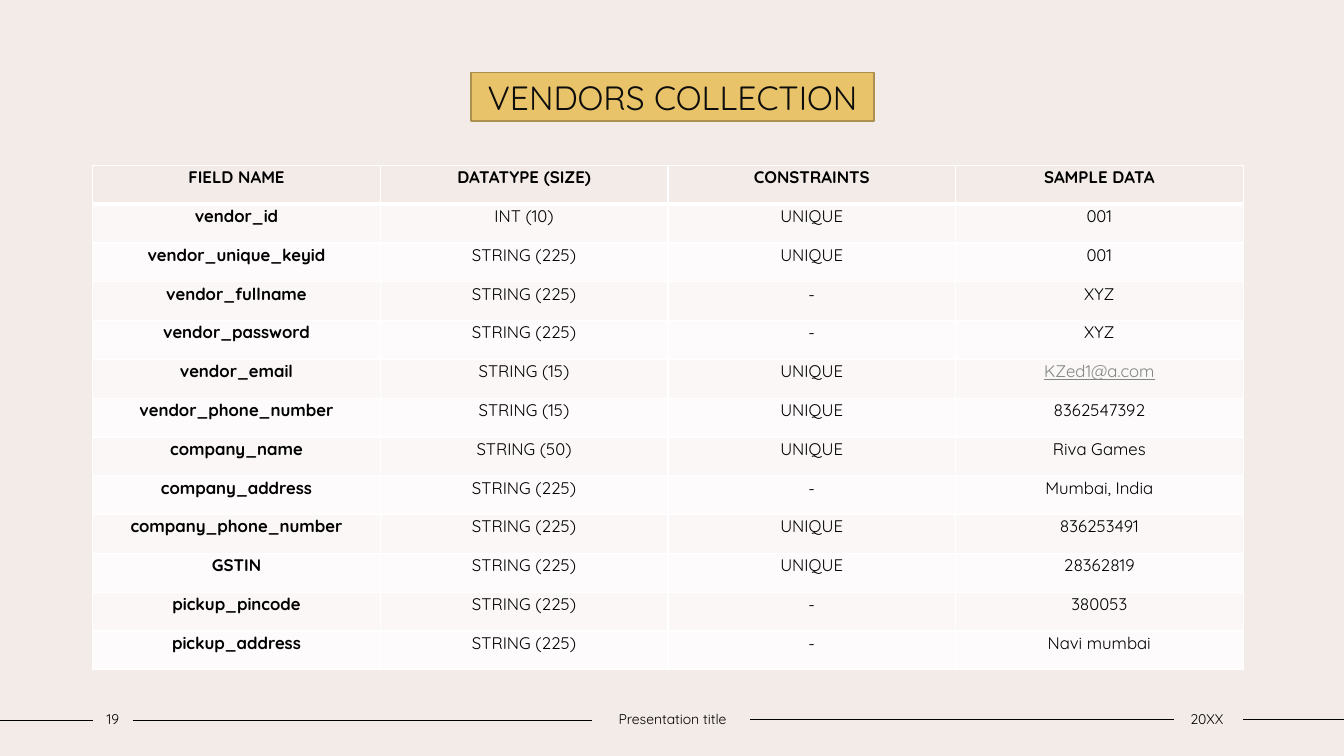
from lxml import etree
from pptx import Presentation
from pptx import util as u
from pptx.dml.color import RGBColor
from pptx.enum import shapes, text
from pptx.oxml.ns import qn

COLORS = {
    "background": "F3EBE8", "ink": "000000", "title": "0D0D0D",
    "gold": "E9C369", "gold_edge": "AC904E", "border": "FFFFFF",
    "odd_row": "FAF7F6", "even_row": "FDFBFB", "email": "828683",
}
HEADINGS = ("FIELD NAME", "DATATYPE (SIZE)", "CONSTRAINTS", "SAMPLE DATA")
FIELDS = [
    ("vendor_id", "INT (10)", "UNIQUE", "001"),
    ("vendor_unique_keyid", "STRING (225)", "UNIQUE", "001"),
    ("vendor_fullname", "STRING (225)", "-", "XYZ"),
    ("vendor_password", "STRING (225)", "-", "XYZ"),
    ("vendor_email", "STRING (15)", "UNIQUE", "KZed1@a.com"),
    ("vendor_phone_number", "STRING (15)", "UNIQUE", "8362547392"),
    ("company_name", "STRING (50)", "UNIQUE", "Riva Games"),
    ("company_address", "STRING (225)", "-", "Mumbai, India"),
    ("company_phone_number", "STRING (225)", "UNIQUE", "836253491"),
    ("GSTIN", "STRING (225)", "UNIQUE", "28362819"),
    ("pickup_pincode", "STRING (225)", "-", "380053"),
    ("pickup_address", "STRING (225)", "-", "Navi mumbai"),
]
FOOTER_RULES = [(0, 0.92, 7.15), (1.32, 5.87, 7.15),
                (7.44, 11.64, 7.14), (12.33, 13.33, 7.14)]
FOOTER_LABELS = [("19", 0.92, 0.4), ("Presentation title", 5.87, 1.6),
                 ("20XX", 11.62, 0.7)]


def rgb(name):
    return RGBColor.from_string(COLORS[name])


def inches(*lengths):
    return [u.Inches(length) for length in lengths]


def apply(target, formats):
    for attribute, value in formats.items():
        setattr(target, attribute, value)


class SchemaSlide:
    font = "Quicksand"

    def __init__(self, deck):
        title_only = deck.slide_layouts[5]
        self.slide = deck.slides.add_slide(title_only)
        self.paint(self.slide.background, "background")

    def paint(self, target, color):
        target.fill.solid()
        target.fill.fore_color.rgb = rgb(color)

    def set_text(self, frame, content, size, color="ink", **formats):
        frame.text = content
        paragraph = frame.paragraphs[0]
        paragraph.alignment = text.PP_ALIGN.CENTER
        font = paragraph.runs[0].font
        apply(font, {"name": self.font, "size": u.Pt(size), **formats})
        font.color.rgb = rgb(color)
        return paragraph

    def title(self, content, *box):
        heading = self.slide.shapes.title
        apply(heading, dict(zip(("left", "top", "width", "height"), inches(*box))))
        self.paint(heading, "gold")
        heading.line.color.rgb = rgb("gold_edge")
        heading.line.width = u.Pt(1)
        self.set_text(heading.text_frame, content, 24, "title")
        apply(heading.text_frame, {
            "auto_size": text.MSO_AUTO_SIZE.NONE,
            "vertical_anchor": text.MSO_ANCHOR.MIDDLE,
            "word_wrap": True,
        })

    def rule(self, start, end, y):
        line = self.slide.shapes.add_connector(
            shapes.MSO_CONNECTOR.STRAIGHT, *inches(start, y, end, y))
        line.line.color.rgb = rgb("ink")
        line.line.width = u.Pt(1)
        etree.SubElement(line._element.spPr, qn("a:effectLst"))

    def footer_label(self, content, left, width):
        label = self.slide.shapes.add_textbox(*inches(left, 7, width, 0.27))
        apply(label.text_frame, {
            "word_wrap": True, "margin_left": 0, "margin_right": 0,
            "vertical_anchor": text.MSO_ANCHOR.MIDDLE,
        })
        self.set_text(label.text_frame, content, 10)

    def borders(self, cell, **widths):
        """Draw cell edges, given in points in the order L, R, T, B."""
        properties = cell._tc.get_or_add_tcPr()
        for position, (side, width) in enumerate(widths.items()):
            edge = etree.Element(qn(f"a:ln{side}"), w=str(u.Pt(width)))
            solid = etree.SubElement(edge, qn("a:solidFill"))
            etree.SubElement(solid, qn("a:srgbClr"), val=COLORS["border"])
            properties.insert(position, edge)

    def table(self, rows, *box):
        table = self.slide.shapes.add_table(
            len(rows), len(rows[0]), *inches(*box)).table
        apply(table, {"first_row": True, "horz_banding": False})
        for r, row in enumerate(rows):
            fill = "background" if r == 0 else "odd_row" if r % 2 else "even_row"
            for c, content in enumerate(row):
                cell = table.cell(r, c)
                apply(cell, {
                    "margin_left": u.Inches(0.07), "margin_right": u.Inches(0.07),
                    "margin_top": 0, "margin_bottom": 0,
                })
                is_email = "@" in content
                paragraph = self.set_text(
                    cell.text_frame, content, 12, "email" if is_email else "ink",
                    bold=r == 0 or c == 0, underline=is_email)
                apply(paragraph, {"line_spacing": 1.07, "space_after": u.Pt(0.5)})
                self.paint(cell, fill)
                self.borders(cell, L=1, R=1, T=3 if r == 1 else 1,
                             B=3 if r == 0 else 1)


def main():
    deck = Presentation()
    deck.slide_width, deck.slide_height = inches(13.33, 7.5)
    vendors = SchemaSlide(deck)
    for rule in FOOTER_RULES:
        vendors.rule(*rule)
    for label in FOOTER_LABELS:
        vendors.footer_label(*label)
    vendors.table([HEADINGS, *FIELDS], 0.92, 1.64, 11.41, 5.01)
    vendors.title("VENDORS COLLECTION", 4.67, 0.72, 4, 0.48)
    deck.save("out.pptx")


if __name__ == "__main__":
    main()
